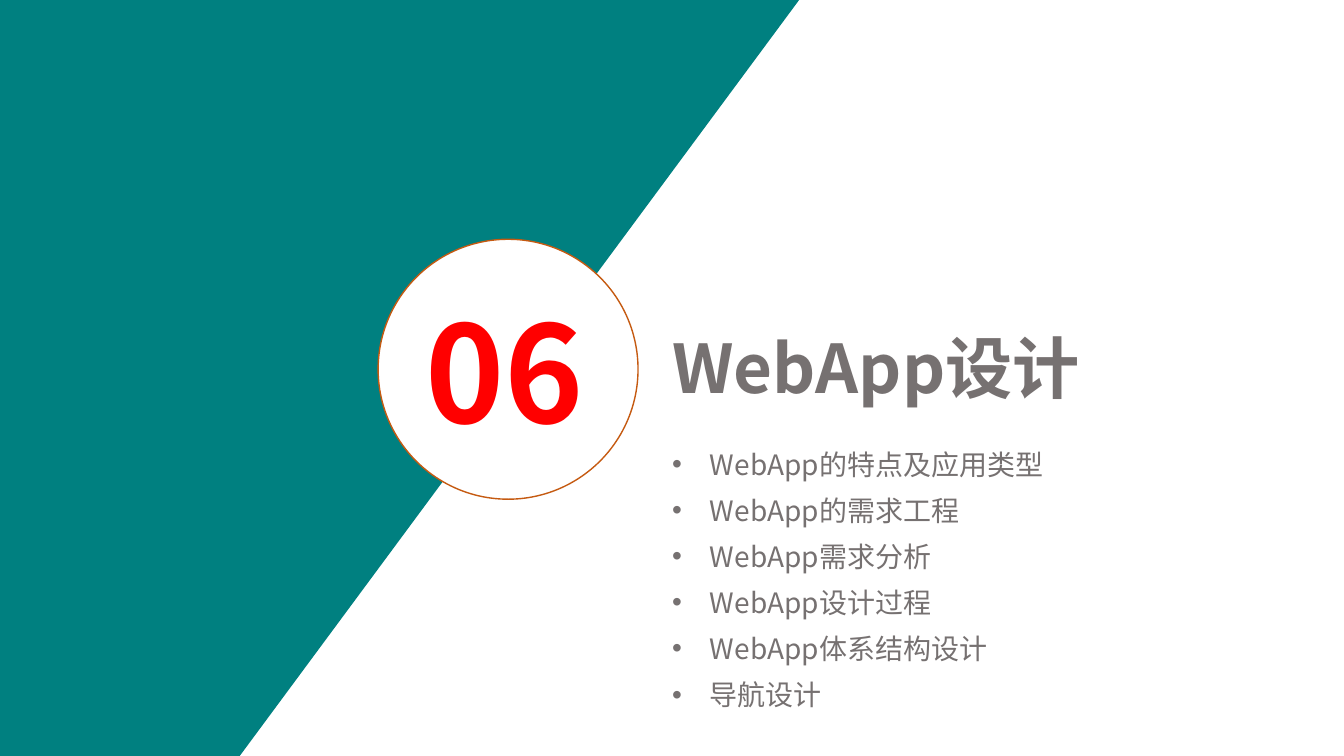
from lxml.etree import SubElement
from pptx import Presentation
from pptx.dml.color import RGBColor
from pptx.enum.shapes import MSO_SHAPE as Shape
from pptx.oxml.ns import qn
from pptx.util import Cm, Pt

COLORS = {"teal": "008080", "white": "FFFFFF", "rim": "C55A11",
          "number": "FF0000", "text": "767171"}
FONT = "Noto Sans CJK SC"
SLIDE_WIDTH, SLIDE_HEIGHT = Cm(33.87), Cm(19.05)
TOPICS = ["WebApp的特点及应用类型", "WebApp的需求工程", "WebApp需求分析",
          "WebApp设计过程", "WebApp体系结构设计", "导航设计"]


def color(name):
    return RGBColor.from_string(COLORS[name])


def add_bullet(paragraph, indent):
    properties = paragraph._p.get_or_add_pPr()
    properties.set("marL", str(indent))
    properties.set("indent", str(-indent))
    SubElement(properties, qn("a:buFont"), typeface="Arial")
    SubElement(properties, qn("a:buChar"), char="•")


def add_line(slide, text, box, size, color_name, bold=False, bullet_indent=None):
    """Place one line of text in the box, with a bullet if an indent is given."""
    frame = slide.shapes.add_textbox(*box).text_frame
    frame.word_wrap = True
    paragraph = frame.paragraphs[0]
    paragraph.text = text
    if bullet_indent:
        add_bullet(paragraph, bullet_indent)
    font = paragraph.font
    font.name, font.size, font.bold = FONT, Pt(size), bold
    font.color.rgb = color(color_name)
    defaults = paragraph._p.pPr.find(qn("a:defRPr"))
    SubElement(defaults, qn("a:ea"), typeface=FONT)


def add_slanted_panel(slide, left, top, width, height):
    """Fill the box with teal, its right edge slanting in to 30% at the foot."""
    outline = slide.shapes.build_freeform(left, top)
    outline.add_line_segments([
        (left + width, top),
        (left + int(width * 0.3), top + height),
        (left, top + height),
    ], close=True)
    panel = outline.convert_to_shape()
    panel.shadow.inherit = False
    panel.fill.solid()
    panel.fill.fore_color.rgb = color("teal")
    panel.line.fill.background()


def add_number_badge(slide, number, left, top, diameter):
    badge = slide.shapes.add_shape(Shape.OVAL, left, top, diameter, diameter)
    badge.shadow.inherit = False
    badge.fill.solid()
    badge.fill.fore_color.rgb = color("white")
    badge.line.color.rgb = color("rim")
    badge.line.width = Pt(1)
    number_box = (left + Cm(0.94), top + Cm(1.12), Cm(4.83), Cm(4.6))
    add_line(slide, number, number_box, 96, "number", bold=True)


def add_chapter_contents(slide, title, topics, left, top, width):
    add_line(slide, title, (left, top, width, Cm(2.44)), 48, "text", bold=True)
    row_height = Cm(1.16)
    for row, topic in enumerate(topics):
        row_top = top + Cm(3.05) + row * row_height
        add_line(slide, topic, (left, row_top, Cm(10.31), row_height),
                 20, "text", bullet_indent=Cm(0.95))


def main():
    presentation = Presentation()
    presentation.slide_width, presentation.slide_height = SLIDE_WIDTH, SLIDE_HEIGHT
    slide = presentation.slides.add_slide(presentation.slide_layouts[6])
    add_slanted_panel(slide, 0, 0, Cm(20.14), SLIDE_HEIGHT)
    add_number_badge(slide, "06", Cm(9.53), Cm(6.03), Cm(6.55))
    add_chapter_contents(slide, "WebApp设计", TOPICS, Cm(16.69), Cm(8.1), Cm(14.27))
    presentation.save("out.pptx")


if __name__ == "__main__":
    main()
